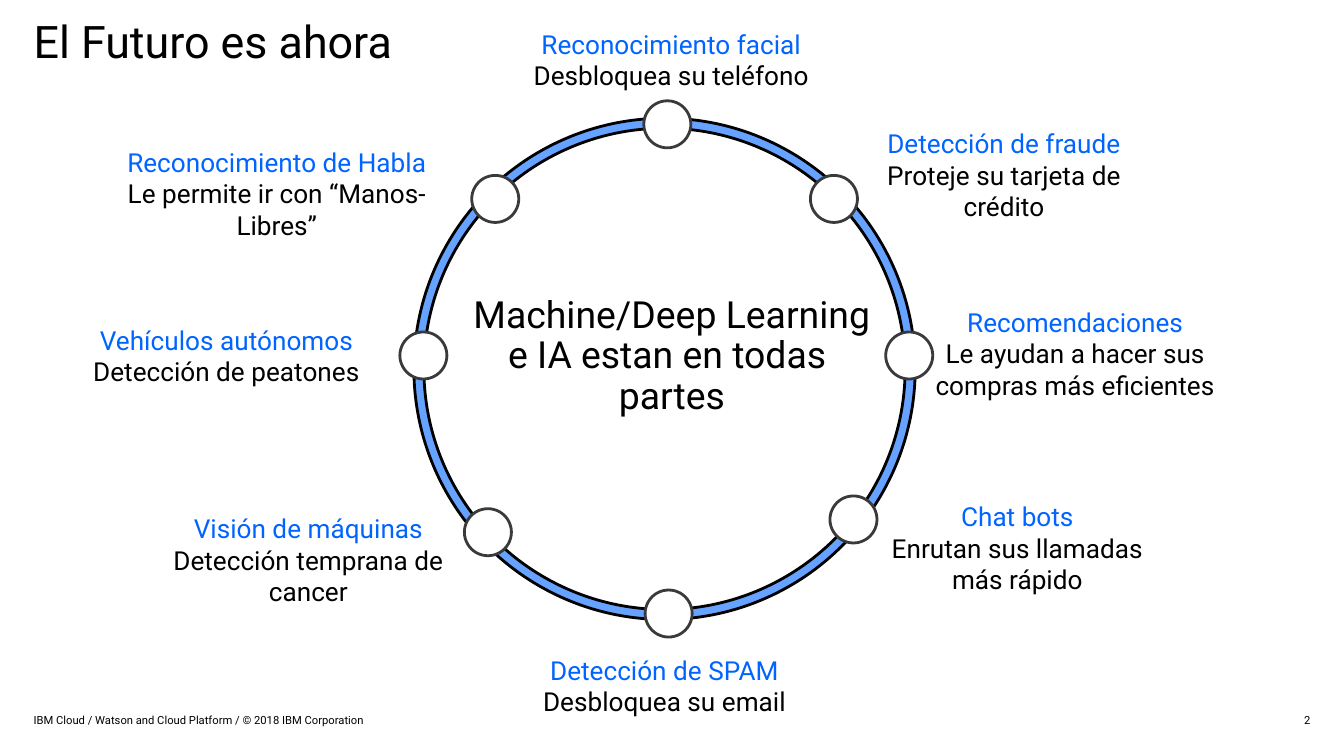
from pptx import Presentation
from pptx.dml.color import RGBColor
from pptx.enum.shapes import MSO_SHAPE
from pptx.enum.text import MSO_ANCHOR, MSO_AUTO_SIZE, PP_ALIGN
from pptx.util import Emu, Pt

EMU_PER_PX = 4572  # 200 px to the inch
COLORS = {
    "text": "000000",
    "topic": "0064FF",
    "ring": "66A2FF",
    "ring_line": "000000",
    "node": "FFFFFF",
    "node_line": "3A3A3A",
}
NO_MARGINS = dict.fromkeys(
    ("margin_left", "margin_top", "margin_right", "margin_bottom"), 0)
FOOTER_FRAME = {**NO_MARGINS, "vertical_anchor": MSO_ANCHOR.MIDDLE}
LABEL_FRAME = {"auto_size": MSO_AUTO_SIZE.SHAPE_TO_FIT_TEXT}
CENTERED = {"alignment": PP_ALIGN.CENTER}
TIGHT = {"line_spacing": 0.9}

NODE_SIZE = 70
NODE_CORNERS = [
    (958, 150), (595, 494), (1318, 494), (960, 878),
    (702, 261), (1235, 738), (1206, 261), (691, 757),
]
# topic, benefit, box (left, top, width, height)
USES = [
    ("Detección de fraude", "Proteje su tarjeta de crédito", (1242, 180, 504, 162)),
    ("Recomendaciones", "Le ayudan a hacer sus compras más eficientes",
     (1367, 446, 466, 162)),
    ("Reconocimiento de Habla", "Le permite ir con “Manos-Libres”",
     (148, 208, 528, 162)),
    ("Chat bots", "Enrutan sus llamadas más rápido", (1281, 735, 466, 162)),
    ("Vehículos autónomos", "Detección de peatones", (104, 473, 466, 114)),
    ("Visión de máquinas", "Detección temprana de cancer", (226, 753, 466, 162)),
    ("Detección de SPAM", "Desbloquea su email", (756, 964, 466, 114)),
]


def px(length):
    return Emu(length * EMU_PER_PX)


def rgb(name):
    return RGBColor.from_string(COLORS[name])


def set_format(target, values):
    for attribute, value in values.items():
        setattr(target, attribute, value)


def add_words(paragraph, text, size, color):
    """Append text to the paragraph, with a line break at each newline."""
    for index, line in enumerate(text.split("\n")):
        if index:
            paragraph.add_line_break()
        run = paragraph.add_run()
        run.text = line
        set_format(run.font, {"name": "Roboto", "size": Pt(size)})
        run.font.color.rgb = rgb(color)


def add_text(slide, box, paragraphs, size, frame_format, paragraph_format):
    """Add a text box; each paragraph is a list of (text, color name)."""
    frame = slide.shapes.add_textbox(*map(px, box)).text_frame
    set_format(frame, {"word_wrap": True, **frame_format})
    for index, pieces in enumerate(paragraphs):
        paragraph = frame.add_paragraph() if index else frame.paragraphs[0]
        set_format(paragraph, paragraph_format)
        for text, color in pieces:
            add_words(paragraph, text, size, color)


def add_label(slide, box, paragraphs):
    add_text(slide, box, paragraphs, 14, LABEL_FRAME, CENTERED)


def add_round(slide, kind, box, color):
    shape = slide.shapes.add_shape(kind, *map(px, box))
    shape.shadow.inherit = False
    shape.fill.solid()
    shape.fill.fore_color.rgb = rgb(color)
    shape.line.color.rgb = rgb(color + "_line")
    shape.line.width = Pt(1.5)
    return shape


def add_ring(slide):
    ring = add_round(slide, MSO_SHAPE.DONUT, (616, 176, 746, 746), "ring")
    ring.adjustments[0] = 0.02
    for corner in NODE_CORNERS:
        add_round(slide, MSO_SHAPE.OVAL, (*corner, NODE_SIZE, NODE_SIZE), "node")


def add_footer(slide):
    copyright_line = "IBM Cloud / Watson and Cloud Platform / © 2018 IBM Corporation"
    add_text(slide, (1500, 1056, 450, 30), [[("2", "text")]], 6,
             FOOTER_FRAME, {"alignment": PP_ALIGN.RIGHT})
    add_text(slide, (50, 1056, 1400, 30), [[(copyright_line, "text")]], 6,
             FOOTER_FRAME, {})


def main():
    deck = Presentation()
    set_format(deck, {"slide_width": px(2000), "slide_height": px(1125)})
    slide = deck.slides.add_slide(deck.slide_layouts[6])

    message = "Machine/Deep Learning\ne IA estan en todas \npartes"
    add_text(slide, (592, 441, 816, 210), [[(message, "text")]], 20,
             NO_MARGINS, {**CENTERED, **TIGHT})
    add_footer(slide)
    add_label(slide, (766, 32, 466, 114),
              [[("Reconocimiento facial ", "topic"),
                ("Desbloquea su teléfono", "text")]])
    add_ring(slide)
    for topic, benefit, box in USES:
        add_label(slide, box, [[(topic, "topic")], [(benefit, "text")]])
    add_text(slide, (50, 30, 1714, 78), [[("El Futuro es ahora", "text")]], 24,
             NO_MARGINS, TIGHT)

    deck.save("out.pptx")


if __name__ == "__main__":
    main()
